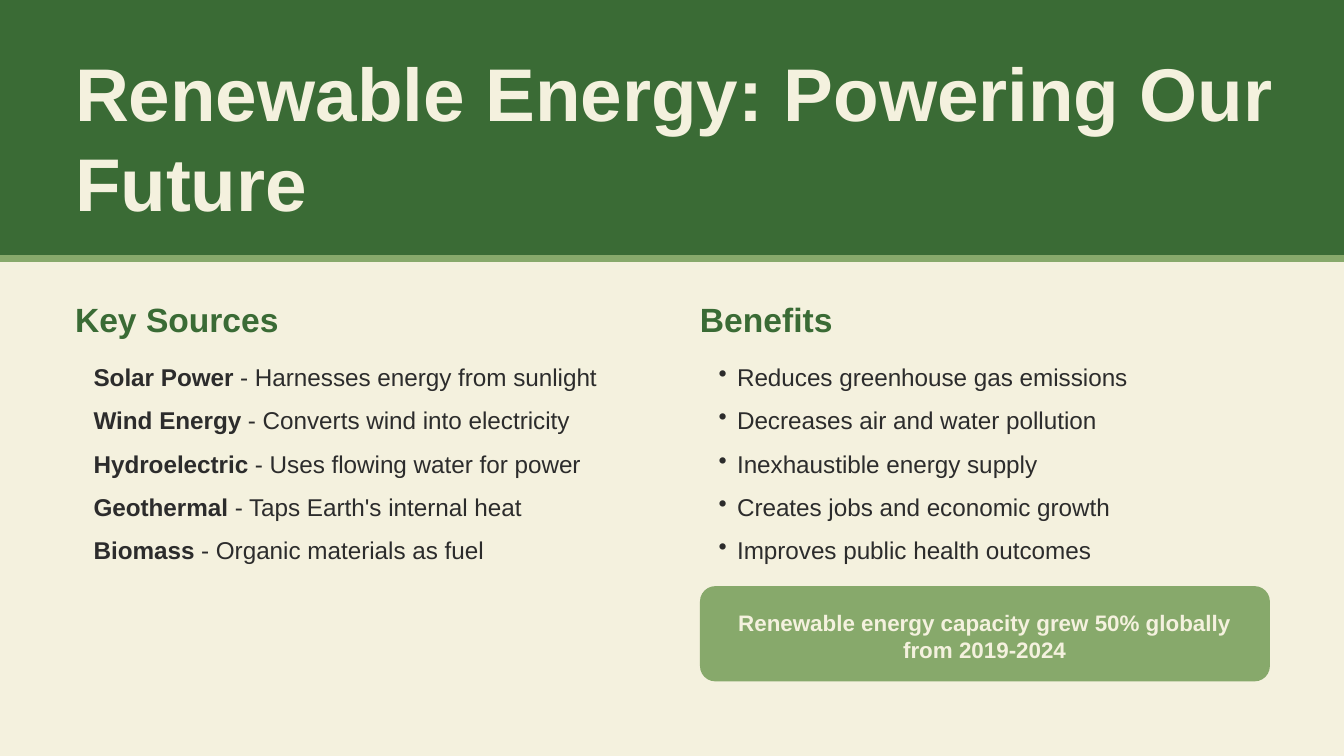
from lxml import etree
from pptx import Presentation
from pptx import util as u
from pptx.dml.color import RGBColor
from pptx.enum import shapes, text
from pptx.oxml.ns import qn
from pptx.util import Cm

FOREST = RGBColor(0x3A, 0x6B, 0x35)
SAGE = RGBColor(0x87, 0xA9, 0x6B)
CREAM = RGBColor(0xF4, 0xF1, 0xDE)
CHARCOAL = RGBColor(0x2C, 0x2C, 0x2C)

PAGE_WIDTH, PAGE_HEIGHT = 25.4, 14.29
LEFT_COLUMN, RIGHT_COLUMN = 1.42, 13.23
INDENT = 0.35

TITLE = {"size": 40, "color": CREAM, "leading": 48}
HEADING = {"size": 18, "color": FOREST, "leading": 21.6, "after": 10}
ITEM = {"size": 13, "color": CHARCOAL, "leading": 18.2, "after": 5}
CALLOUT = {"size": 12, "color": CREAM, "leading": 14.4,
           "align": text.PP_ALIGN.CENTER}

SOURCES = [
    ("Solar Power", "Harnesses energy from sunlight"),
    ("Wind Energy", "Converts wind into electricity"),
    ("Hydroelectric", "Uses flowing water for power"),
    ("Geothermal", "Taps Earth's internal heat"),
    ("Biomass", "Organic materials as fuel"),
]
BENEFITS = [
    "Reduces greenhouse gas emissions",
    "Decreases air and water pollution",
    "Inexhaustible energy supply",
    "Creates jobs and economic growth",
    "Improves public health outcomes",
]


def set_all(target, values):
    for name, value in values.items():
        setattr(target, name, value)


def add_panel(page, kind, area, color):
    panel = page.shapes.add_shape(kind, *map(Cm, area))
    panel.shadow.inherit = False
    panel.fill.solid()
    panel.fill.fore_color.rgb = color
    panel.line.fill.background()
    return panel


def add_rule(page, top, color, weight):
    rule = page.shapes.add_connector(
        shapes.MSO_CONNECTOR.STRAIGHT, 0, Cm(top), Cm(PAGE_WIDTH), Cm(top))
    rule.line.color.rgb = color
    rule.line.width = u.Pt(weight)
    etree.SubElement(rule._element.spPr, qn("a:effectLst"))


def add_bullet(para):
    properties = para._p.get_or_add_pPr()
    properties.set("marL", str(Cm(INDENT)))
    properties.set("indent", str(-Cm(INDENT)))
    etree.SubElement(properties, qn("a:buChar"), char="•")


def add_text(page, area, lines, style, inset=0, bulleted=False):
    """Each line is a list of (words, bold) pairs."""
    box = page.shapes.add_textbox(*map(Cm, area))
    frame = box.text_frame
    set_all(frame, {"word_wrap": True, "margin_left": Cm(inset),
                    "margin_top": 0, "margin_right": 0, "margin_bottom": 0})
    for index, line in enumerate(lines):
        para = frame.add_paragraph() if index else frame.paragraphs[0]
        set_all(para, {"line_spacing": u.Pt(style["leading"]),
                       "space_after": u.Pt(style.get("after", 0)),
                       "alignment": style.get("align", text.PP_ALIGN.LEFT)})
        if bulleted:
            add_bullet(para)
        for words, bold in line:
            span = para.add_run()
            span.text = words
            set_all(span.font, {"name": "Arial", "bold": bold,
                                "size": u.Pt(style["size"])})
            span.font.color.rgb = style["color"]


def add_column(page, left, heading, items, bulleted):
    add_text(page, (left, 5.66, 10.97, 0.74), [[(heading, True)]], HEADING)
    add_text(page, (left, 6.76, 10.77, 3.91), items, ITEM, INDENT, bulleted)


def main():
    deck = Presentation()
    set_all(deck, {"slide_width": Cm(PAGE_WIDTH), "slide_height": Cm(PAGE_HEIGHT)})
    page = deck.slides.add_slide(deck.slide_layouts[6])
    page.background.fill.solid()
    page.background.fill.fore_color.rgb = CREAM

    # Title band
    add_panel(page, shapes.MSO_SHAPE.RECTANGLE, (0, 0, PAGE_WIDTH, 4.95), FOREST)
    add_rule(page, 4.88, SAGE, 3.75)
    add_text(page, (LEFT_COLUMN, 0.89, 23.04, 3.23),
             [[("Renewable Energy: Powering Our Future", True)]], TITLE)

    # Two columns
    sources = [[(name, True), (f" - {detail}", False)] for name, detail in SOURCES]
    benefits = [[(benefit, False)] for benefit in BENEFITS]
    add_column(page, LEFT_COLUMN, "Key Sources", sources, bulleted=False)
    add_column(page, RIGHT_COLUMN, "Benefits", benefits, bulleted=True)

    # Growth callout
    panel = add_panel(page, shapes.MSO_SHAPE.ROUNDED_RECTANGLE,
                      (RIGHT_COLUMN, 11.08, 10.77, 1.8), SAGE)
    panel.adjustments[0] = 0.16
    add_text(page, (13.77, 11.51, 9.68, 0.97),
             [[("Renewable energy capacity grew 50% globally from 2019-2024", True)]],
             CALLOUT)

    deck.save("out.pptx")


if __name__ == "__main__":
    main()
